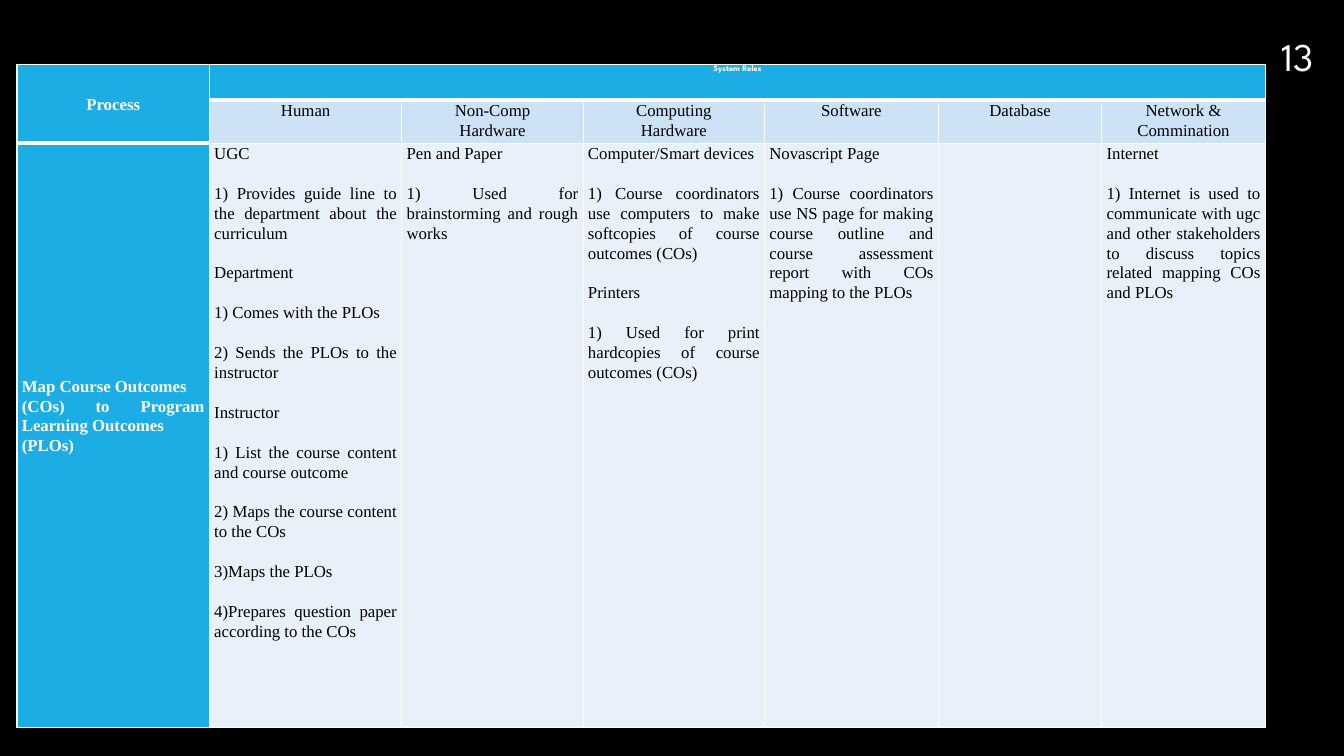
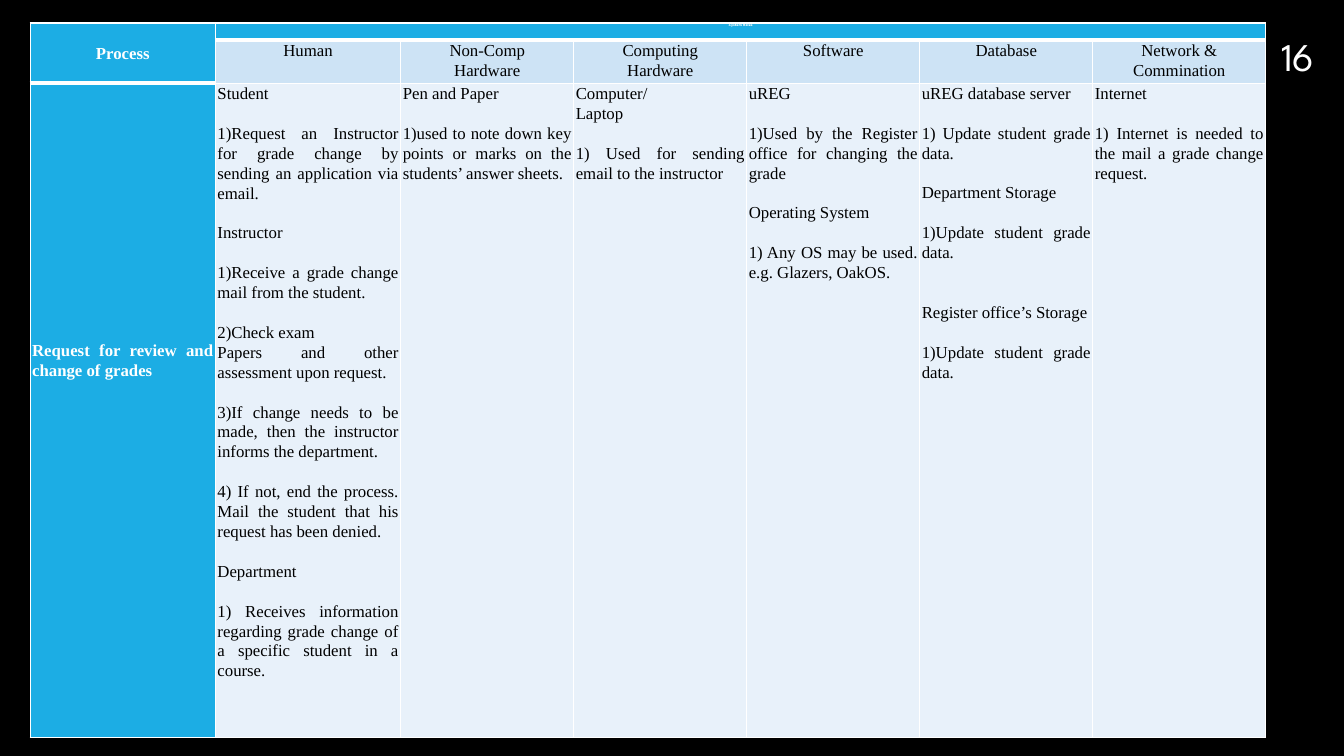
from lxml import etree
from pptx import Presentation
from pptx import util as u
from pptx.dml.color import RGBColor
from pptx.enum import text
from pptx.oxml.ns import qn

Cm, Pt = u.Cm, u.Pt

BLACK = RGBColor(0x00, 0x00, 0x00)
WHITE = RGBColor(0xFF, 0xFF, 0xFF)
BLUE = RGBColor(0x1C, 0xAD, 0xE4)
HEADER_TINT = RGBColor(0xCD, 0xE3, 0xF5)
BODY_TINT = RGBColor(0xE8, 0xF1, 0xFA)

SERIF = "Times New Roman"
DISPLAY = "League Spartan"
CENTER = text.PP_ALIGN.CENTER
JUSTIFY = text.PP_ALIGN.JUSTIFY
MIDDLE = text.MSO_ANCHOR.MIDDLE
LINE_SPACING = 1.07
LINE_PITCH = 14.2  # points from one 12 pt line to the next

ROLES = ["Human", "Non-Comp\nHardware", "Computing\nHardware", "Software",
         "Database", "Network &\nCommination"]

MAP_OUTCOMES = dict(
    number=13, left=0.43, top=1.63, inset=0.12, roles_size=6, lift=1.0,
    widths=[4.85, 4.85, 4.57, 4.57, 4.38, 4.12, 4.12],
    heights=[0.89, 1.09, 14.73],
    process="Map Course Outcomes\n(COs) to Program Learning Outcomes\n(PLOs)",
    bodies=[
        "UGC\n\n"
        "1) Provides guide line to the department about the curriculum\n\n"
        "Department\n\n"
        "1) Comes with the PLOs\n\n"
        "2) Sends the PLOs to the instructor\n\n"
        "Instructor\n\n"
        "1) List the course content and course outcome\n\n"
        "2) Maps the course content to the COs\n\n"
        "3)Maps the PLOs\n\n"
        "4)Prepares question paper according to the COs",
        "Pen and Paper\n\n"
        "1) Used for brainstorming and rough works",
        "Computer/Smart devices\n\n"
        "1) Course coordinators use computers to make softcopies of course "
        "outcomes (COs)\n\n"
        "Printers\n\n"
        "1) Used for print hardcopies of course outcomes (COs)",
        "Novascript Page\n\n"
        "1) Course coordinators use NS page for making course outline and "
        "course assessment report with COs mapping to the PLOs",
        "",
        "Internet\n\n"
        "1) Internet is used to communicate with ugc and other stakeholders "
        "to discuss topics related mapping COs and PLOs",
    ])

GRADE_REVIEW = dict(
    number=16, left=0.76, top=0.58, inset=0.05, roles_size=3, lift=2.5,
    widths=[4.67] * 2 + [4.36] * 5,
    heights=[0.43, 1.02, 16.48],
    process="Request for review and change of grades",
    bodies=[
        "Student\n\n"
        "1)Request an Instructor for grade change by sending an application "
        "via email.\n\n"
        "Instructor\n\n"
        "1)Receive a grade change mail from the student.\n\n"
        "2)Check exam\n"
        "Papers and other assessment upon request.\n\n"
        "3)If change needs to be made, then the instructor informs the "
        "department.\n\n"
        "4) If not, end the process. Mail the student that his request has "
        "been denied.\n\n"
        "Department\n\n"
        "1) Receives information regarding grade change of a specific "
        "student in a course.",
        "Pen and Paper\n\n"
        "1)used to note down key points or marks on the students’ answer "
        "sheets.",
        "Computer/\nLaptop\n\n"
        "1) Used for sending email to the instructor",
        "uREG\n\n"
        "1)Used by the Register office for changing the grade\n\n"
        "Operating System\n\n"
        "1) Any OS may be used. e.g. Glazers, OakOS.",
        "uREG database server\n\n"
        "1) Update student grade data.\n\n"
        "Department Storage\n\n"
        "1)Update student grade data.\n\n\n"
        "Register office’s Storage\n\n"
        "1)Update student grade data.",
        "Internet\n\n"
        "1) Internet is needed to the mail a grade change request.",
    ])


def set_font(p, size, name, color, bold=False):
    p.font.size, p.font.name, p.font.bold = Pt(size), name, bold
    p.font.color.rgb = color


def write_cell(cell, content, align, color, size=12, name=SERIF, bold=False):
    """Write one paragraph a line; empty lines become space before the next."""
    tf = cell.text_frame
    gap, p = 0, None
    for line in content.split("\n"):
        if not line:
            gap += 1
            continue
        p = tf.paragraphs[0] if p is None else tf.add_paragraph()
        p.text, p.alignment, p.line_spacing = line, align, LINE_SPACING
        if gap:
            p.space_before = Pt(LINE_PITCH * gap)
        set_font(p, size, name, color, bold)
        gap = 0


def set_borders(cell, row, col):
    """White rules, thick below the blue header cells."""
    thick_top = (row == 1 and col > 0) or (row == 2 and col == 0)
    thick_bottom = row == 0 or (row == 1 and col == 0)
    widths = dict(lnL=1, lnR=1, lnT=3 if thick_top else 1,
                  lnB=3 if thick_bottom else 1)
    tc_pr = cell._tc.get_or_add_tcPr()
    for i, (tag, width) in enumerate(widths.items()):
        ln = etree.Element(qn("a:" + tag), w=str(Pt(width)))
        fill = etree.SubElement(ln, qn("a:solidFill"))
        etree.SubElement(fill, qn("a:srgbClr"), val=str(WHITE))
        tc_pr.insert(i, ln)


def style_cell(cell, row, col, inset):
    cell.margin_left = cell.margin_right = Cm(inset)
    cell.margin_top = cell.margin_bottom = 0
    cell.fill.solid()
    if row == 0 or col == 0:
        cell.fill.fore_color.rgb = BLUE
    else:
        cell.fill.fore_color.rgb = HEADER_TINT if row == 1 else BODY_TINT
    set_borders(cell, row, col)


def add_page_number(s, number):
    tf = s.shapes.add_textbox(Cm(31.54), 0, Cm(2.33), Cm(2.13)).text_frame
    tf.word_wrap = True
    tf.vertical_anchor = text.MSO_ANCHOR.BOTTOM
    p = tf.paragraphs[0]
    p.text, p.alignment = str(number), CENTER
    set_font(p, 28, DISPLAY, WHITE)


def add_roles_table(s, left, top, widths, heights, inset, roles_size, lift,
                    process, bodies):
    """Add the table of roles; lift raises the process name in its cell."""
    table = s.shapes.add_table(
        len(heights), len(widths), Cm(left), Cm(top),
        Cm(sum(widths)), Cm(sum(heights))).table
    for column, width in zip(table.columns, widths):
        column.width = Cm(width)
    for row, height in zip(table.rows, heights):
        row.height = Cm(height)
    for r in range(len(heights)):
        for c in range(len(widths)):
            style_cell(table.cell(r, c), r, c, inset)

    corner, banner, name = (table.cell(*at) for at in ((0, 0), (0, 1), (2, 0)))
    corner.merge(table.cell(1, 0))
    banner.merge(table.cell(0, len(widths) - 1))
    corner.vertical_anchor = name.vertical_anchor = MIDDLE
    name.margin_bottom = Cm(lift)
    write_cell(corner, "Process", CENTER, WHITE, bold=True)
    write_cell(banner, "System Roles", CENTER, WHITE, roles_size, DISPLAY, True)
    write_cell(name, process, JUSTIFY, WHITE, bold=True)
    for c, (role, body) in enumerate(zip(ROLES, bodies), start=1):
        write_cell(table.cell(1, c), role, CENTER, BLACK)
        write_cell(table.cell(2, c), body, JUSTIFY, BLACK)


def add_process_slide(prs, number, **table):
    s = prs.slides.add_slide(prs.slide_layouts[6])
    s.background.fill.solid()
    s.background.fill.fore_color.rgb = BLACK
    add_page_number(s, number)
    add_roles_table(s, **table)


def main():
    prs = Presentation()
    prs.slide_width, prs.slide_height = Cm(33.87), Cm(19.05)
    for process in (MAP_OUTCOMES, GRADE_REVIEW):
        add_process_slide(prs, **process)
    prs.save("out.pptx")


if __name__ == "__main__":
    main()
